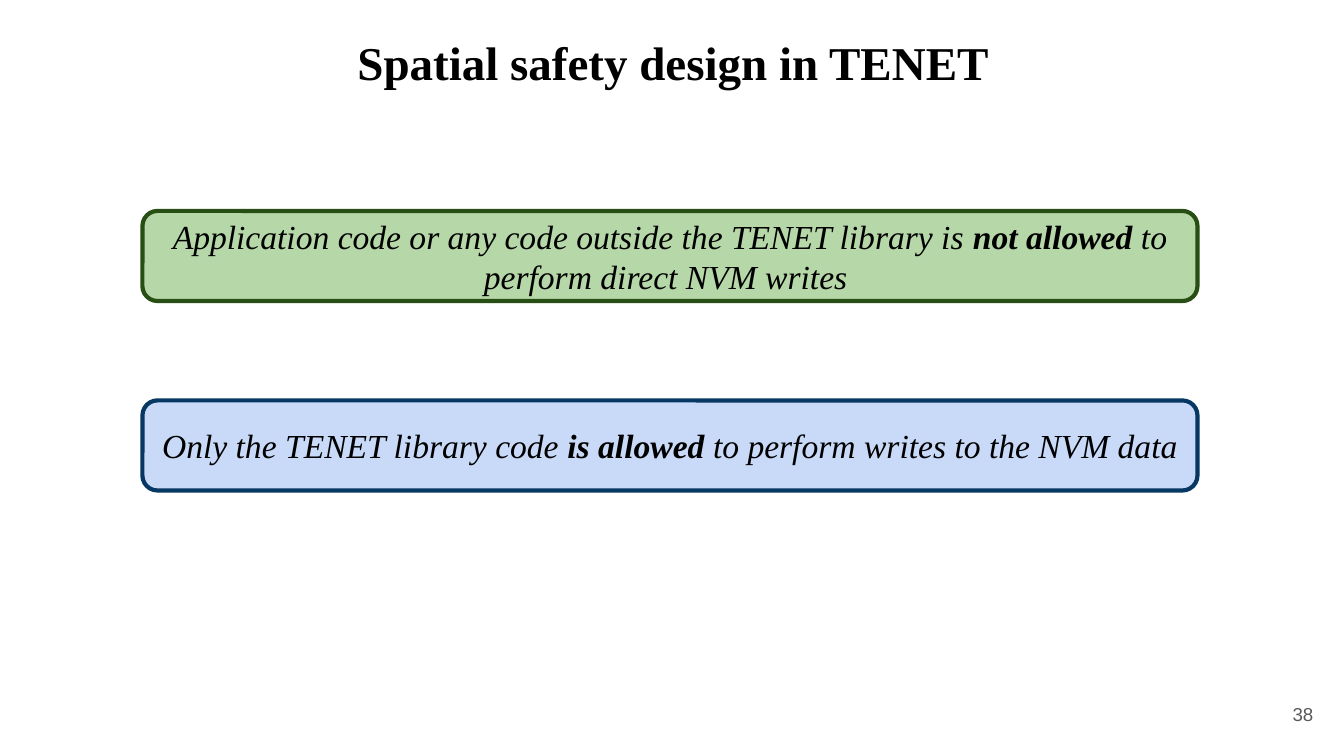
from pptx import Presentation
from pptx.dml.color import RGBColor
from pptx.enum.shapes import MSO_SHAPE
from pptx.enum.text import MSO_ANCHOR, PP_ALIGN
from pptx.util import Inches, Pt

COLORS = {
    "black": "000000", "gray": "595959",
    "green": "B6D7A8", "dark green": "274E13",
    "blue": "C9DAF8", "dark blue": "073763",
}
FORMATS = {
    "title": {"name": "Times New Roman", "size": Pt(25.2), "bold": True},
    "number": {"name": "Arial", "size": Pt(10)},
    "rule": {"name": "Times New Roman", "size": Pt(18), "italic": True},
    "stress": {"name": "Times New Roman", "size": Pt(18), "italic": True, "bold": True},
}
LABELS = [
    ("Spatial safety design in TENET ", "title", "black",
     (0.3, 0.15, 9.5, 0.63), PP_ALIGN.CENTER, MSO_ANCHOR.TOP),
    ("38", "number", "gray",
     (9.27, 5.1, 0.6, 0.43), PP_ALIGN.RIGHT, MSO_ANCHOR.MIDDLE),
]
RULES = [
    ("green", "dark green", [
        ("Application code or any code outside the TENET library is ", "rule"),
        ("not allowed", "stress"),
        (" to perform direct NVM writes ", "rule"),
    ]),
    ("blue", "dark blue", [
        ("Only the TENET library code ", "rule"),
        ("is allowed", "stress"),
        (" to perform writes to the NVM data ", "rule"),
    ]),
]
WIDTH = 10
HEIGHT = WIDTH * 9 / 16
RULE_LEFT, RULE_TOP, RULE_WIDTH, RULE_HEIGHT, RULE_PITCH = 1.06, 1.57, 7.85, 0.67, 1.41


def color(name):
    return RGBColor.from_string(COLORS[name])


def write(box, spans, ink, align, anchor):
    frame = box.text_frame
    settings = {"word_wrap": True, "vertical_anchor": anchor}
    settings.update({f"margin_{side}": Inches(0.1) for side in ("left", "top", "right", "bottom")})
    for key, value in settings.items():
        setattr(frame, key, value)
    para = frame.paragraphs[0]
    para.alignment = align
    for text, style in spans:
        span = para.add_run()
        span.text = text
        span.font.color.rgb = color(ink)
        for key, value in FORMATS[style].items():
            setattr(span.font, key, value)


def add_rule(page, row, fill, edge, spans):
    place = (RULE_LEFT, RULE_TOP + row * RULE_PITCH, RULE_WIDTH, RULE_HEIGHT)
    box = page.shapes.add_shape(MSO_SHAPE.ROUNDED_RECTANGLE, *map(Inches, place))
    box.shadow.inherit = False
    box.fill.solid()
    box.fill.fore_color.rgb = color(fill)
    box.line.color.rgb = color(edge)
    box.line.width = Pt(2.25)
    write(box, spans, "black", PP_ALIGN.CENTER, MSO_ANCHOR.MIDDLE)


def main():
    """Build the slide on the two rules for writes to NVM."""
    deck = Presentation()
    deck.slide_width, deck.slide_height = Inches(WIDTH), Inches(HEIGHT)
    page = deck.slides.add_slide(deck.slide_layouts[6])
    for text, style, ink, place, align, anchor in LABELS:
        box = page.shapes.add_textbox(*map(Inches, place))
        write(box, [(text, style)], ink, align, anchor)
    for row, (fill, edge, spans) in enumerate(RULES):
        add_rule(page, row, fill, edge, spans)
    deck.save("out.pptx")


if __name__ == "__main__":
    main()
